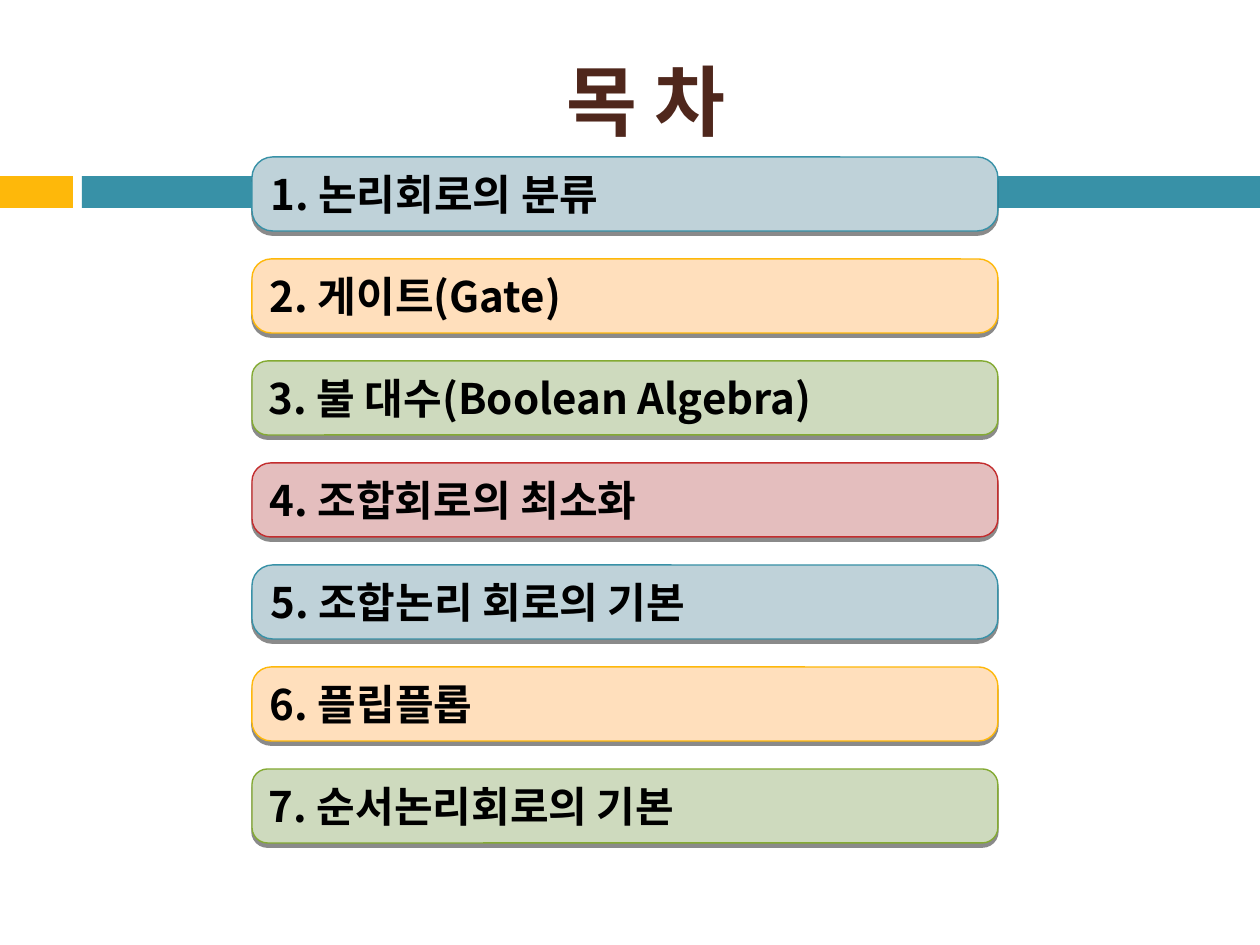
from lxml import etree
from pptx import Presentation
from pptx import util as u
from pptx.dml.color import RGBColor
from pptx.enum import shapes, text
from pptx.oxml.ns import qn

PX = 914400 / 126
FONT = "Noto Sans CJK KR"
BLACK = RGBColor(0x00, 0x00, 0x00)
BROWN = RGBColor(0x4F, 0x27, 0x1C)
TEAL = RGBColor(0x38, 0x91, 0xA7)
GOLD = RGBColor(0xFE, 0xB8, 0x0A)
GREEN = RGBColor(0x84, 0xAA, 0x33)
RED = RGBColor(0xC3, 0x2D, 0x2E)
PALE_TEAL = RGBColor(0xBF, 0xD2, 0xD9)
PALE_GOLD = RGBColor(0xFF, 0xDF, 0xBC)
PALE_GREEN = RGBColor(0xCE, 0xDA, 0xBE)
PALE_RED = RGBColor(0xE4, 0xBE, 0xBE)

# Fill, line and corner rounding, used in turn
LOOKS = [
    (PALE_TEAL, TEAL, 0.28),
    (PALE_GOLD, GOLD, 0.26),
    (PALE_GREEN, GREEN, 0.21),
    (PALE_RED, RED, 0.25),
]
TOPICS = [
    "논리회로의 분류",
    "게이트(Gate)",
    "불 대수(Boolean Algebra)",
    "조합회로의 최소화",
    "조합논리 회로의 기본",
    "플립플롭",
    "순서논리회로의 기본",
]


def emu(*sizes):
    return [round(size * PX) for size in sizes]


class Deck:
    """Holds the style and the current slide."""

    def __init__(self, wide, high):
        self.prs = Presentation()
        self.prs.slide_width, self.prs.slide_height = emu(wide, high)
        self.slide = self.prs.slides.add_slide(self.prs.slide_layouts[5])

    def label(self, frame, words, size, color, align):
        frame.vertical_anchor = text.MSO_ANCHOR.MIDDLE
        para = frame.paragraphs[0]
        para.alignment = align
        run = para.add_run()
        run.text = words
        font = run.font
        font.name, font.size, font.bold = FONT, u.Pt(size), True
        font.color.rgb = color
        # The East Asian typeface follows the Latin one
        asian = etree.Element(qn("a:ea"), typeface=FONT)
        run._r.rPr.find(qn("a:latin")).addnext(asian)

    def title(self, words, *box):
        head = self.slide.shapes.title
        head.left, head.top, head.width, head.height = emu(*box)
        self.label(head.text_frame, words, 44, BROWN, text.PP_ALIGN.CENTER)

    def bar(self, fill, *box):
        shape = self.slide.shapes.add_shape(shapes.MSO_SHAPE.RECTANGLE, *emu(*box))
        shape.shadow.inherit = False
        shape.fill.solid()
        shape.fill.fore_color.rgb = fill
        shape.line.fill.background()

    def card(self, words, look, *box):
        fill, line, curve = look
        shape = self.slide.shapes.add_shape(
            shapes.MSO_SHAPE.ROUNDED_RECTANGLE, *emu(*box))
        shape.adjustments[0] = curve
        shape.fill.solid()
        shape.fill.fore_color.rgb = fill
        shape.line.color.rgb = line
        shape.line.width = u.Pt(0.79)
        self.shade(shape)
        shape.text_frame.word_wrap = False
        self.label(shape.text_frame, words, 24, BLACK, text.PP_ALIGN.LEFT)

    def shade(self, shape):
        """Cast a hard shadow straight down."""
        shape.shadow.inherit = False
        effects = shape._element.spPr.find(qn("a:effectLst"))
        cast = etree.SubElement(
            effects, qn("a:outerShdw"), blurRad="0", dist=str(int(u.Pt(2.4))),
            dir="5400000", algn="t", rotWithShape="0")
        tint = etree.SubElement(cast, qn("a:srgbClr"), val=str(BLACK))
        etree.SubElement(tint, qn("a:alpha"), val="45000")


def main():
    deck = Deck(1260, 945)
    deck.bar(GOLD, 0, 176, 73, 32)
    deck.bar(TEAL, 82, 176, 1178, 32)
    deck.title("목 차", 84, 32, 1124, 136)
    for i, topic in enumerate(TOPICS):
        look = LOOKS[i % len(LOOKS)]
        deck.card(f"{i + 1}. {topic}", look, 252, 157 + 102 * i, 746, 74)
    deck.prs.save("out.pptx")


if __name__ == "__main__":
    main()
